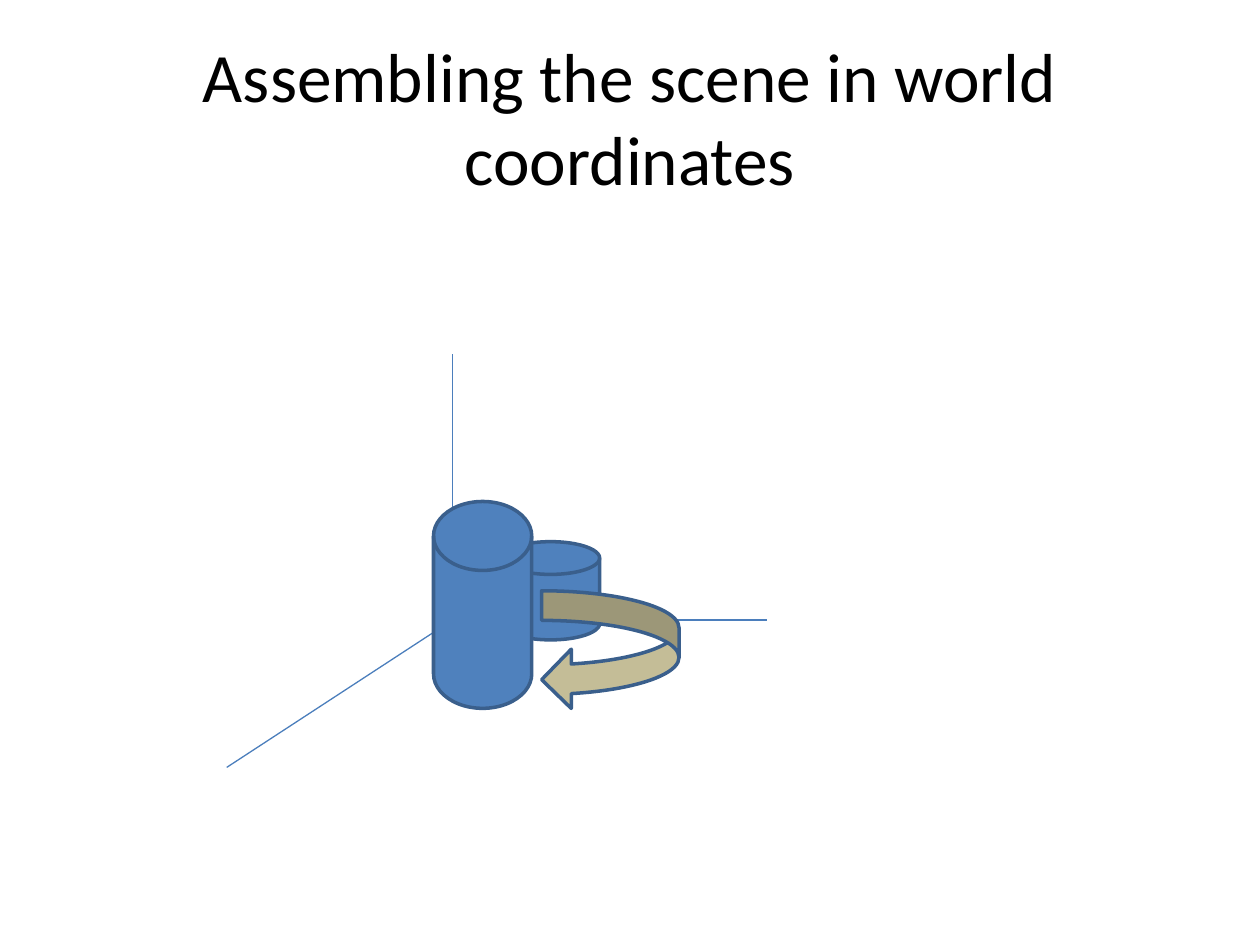
from lxml.etree import SubElement
from pptx import Presentation
from pptx.dml.color import RGBColor
from pptx.enum.shapes import MSO_CONNECTOR, MSO_SHAPE
from pptx.enum.text import MSO_ANCHOR, PP_ALIGN
from pptx.oxml.ns import qn
from pptx.util import Cm, Pt

BLACK = RGBColor(0x00, 0x00, 0x00)
AXIS_BLUE = RGBColor(0x4B, 0x7E, 0xBC)
CYLINDER_BLUE = RGBColor(0x4F, 0x81, 0xBD)
OUTLINE_BLUE = RGBColor(0x3A, 0x5F, 0x8C)
ARROW_TAN = RGBColor(0xC4, 0xBD, 0x97)

prs = Presentation()
prs.slide_width, prs.slide_height = Cm(25.4), Cm(19.05)
slide = prs.slides.add_slide(prs.slide_layouts[6])

# Title
title = slide.shapes.add_textbox(Cm(1.27), Cm(0.76), Cm(22.86), Cm(3.18))
frame = title.text_frame
frame.word_wrap = True
frame.vertical_anchor = MSO_ANCHOR.MIDDLE
heading = frame.paragraphs[0]
heading.alignment = PP_ALIGN.CENTER
run = heading.add_run()
run.text = "Assembling the scene in world coordinates"
run.font.name = "Calibri"
run.font.size = Pt(39.6)
run.font.color.rgb = BLACK

# World axes, all meeting at the origin
origin_x, origin_y = 9.12, 12.5
axis_ends = [(origin_x, 7.14), (4.57, 15.47), (15.47, origin_y)]
for end_x, end_y in axis_ends:
    axis = slide.shapes.add_connector(
        MSO_CONNECTOR.STRAIGHT, Cm(origin_x), Cm(origin_y), Cm(end_x), Cm(end_y))
    axis.line.color.rgb = AXIS_BLUE
    axis.line.width = Pt(0.75)
    SubElement(axis._element.spPr, qn("a:effectLst"))

# Scene objects from back to front: two cylinders and the rotation arrow
CYLINDER = MSO_SHAPE.FLOWCHART_MAGNETIC_DISK
scene = [
    (CYLINDER, CYLINDER_BLUE, 10.11, 10.92, 1.98, 1.98),
    (CYLINDER, CYLINDER_BLUE, 8.74, 10.11, 1.98, 4.17),
    (MSO_SHAPE.CURVED_LEFT_ARROW, ARROW_TAN, 10.92, 11.91, 2.77, 2.39),
]
for preset, color, *box in scene:
    item = slide.shapes.add_shape(preset, *map(Cm, box))
    item.shadow.inherit = False
    item.fill.solid()
    item.fill.fore_color.rgb = color
    item.line.color.rgb = OUTLINE_BLUE
    item.line.width = Pt(2)

prs.save("out.pptx")
